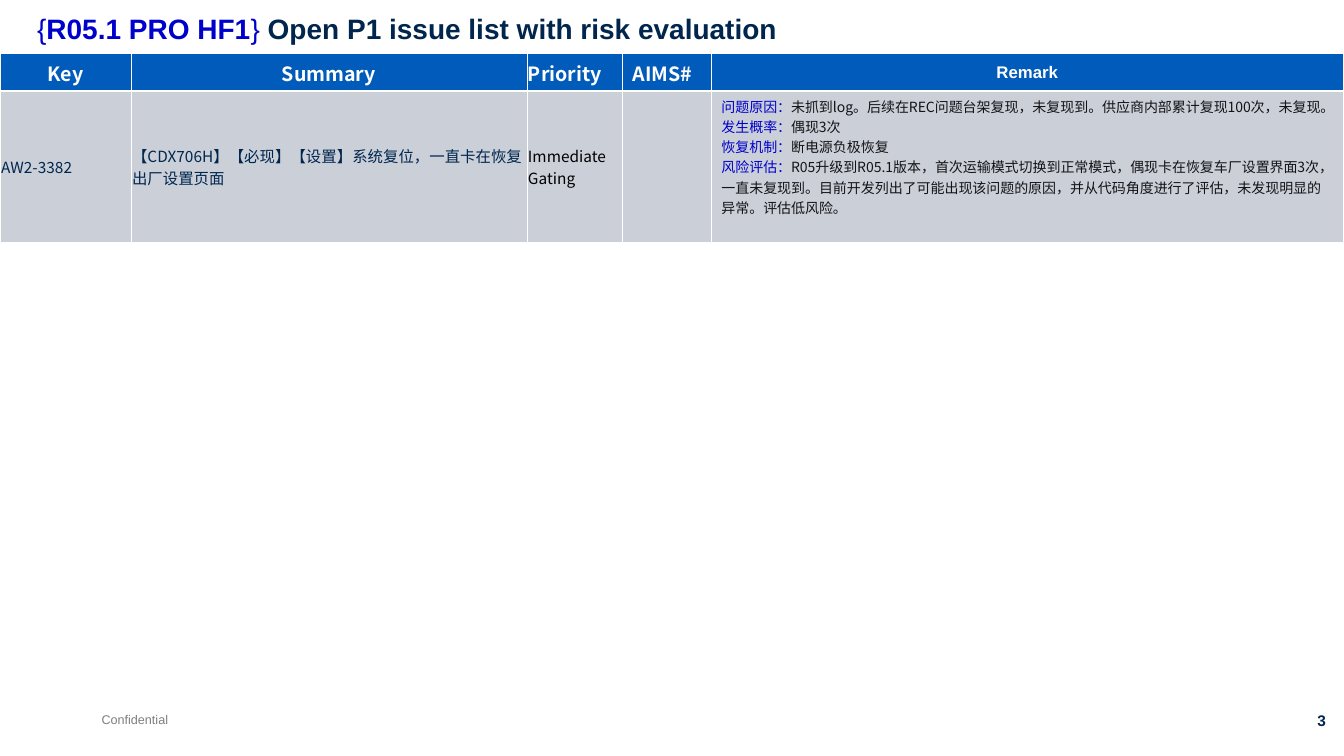
from dataclasses import dataclass
from lxml import etree
from pptx import Presentation
from pptx import util as u
from pptx.dml.color import RGBColor
from pptx.enum import text
from pptx.oxml import ns

NAVY = RGBColor(0x00, 0x26, 0x4E)
BLUE = RGBColor(0x00, 0x00, 0xCC)
HEADER_BLUE = RGBColor(0x00, 0x5B, 0xBA)
ROW_GREY = RGBColor(0xCB, 0xCF, 0xD8)
GREY = RGBColor(0x7F, 0x7F, 0x7F)
INK = RGBColor(0x13, 0x14, 0x16)
BLACK = RGBColor(0x00, 0x00, 0x00)
WHITE = RGBColor(0xFF, 0xFF, 0xFF)
LATIN = "Arial"
CJK = "Noto Sans CJK SC"
LEFT, CENTER, RIGHT = text.PP_ALIGN.LEFT, text.PP_ALIGN.CENTER, text.PP_ALIGN.RIGHT
TOP, MIDDLE = text.MSO_ANCHOR.TOP, text.MSO_ANCHOR.MIDDLE
NARROW, NORMAL = 0.75, 7.2
THIN, THICK = 0.45, 1.47


@dataclass
class Span:
    words: str
    size: float
    color: RGBColor
    bold: bool = False
    name: str = LATIN


@dataclass
class Label:
    left: float
    top: float
    width: float
    height: float
    spans: list[Span]
    align: text.PP_ALIGN = LEFT
    line_spacing: float = 1.0


@dataclass
class Entry:
    paras: list[list[Span]]
    align: text.PP_ALIGN = LEFT
    anchor: text.MSO_ANCHOR = MIDDLE
    margin: float = NARROW


def heading(words: str, align=CENTER, margin=NARROW, size=14, name=CJK) -> Entry:
    return Entry([[Span(words, size, WHITE, True, name)]], align, margin=margin)


def value(words: str, color: RGBColor = NAVY) -> Entry:
    return Entry([[Span(words, 11, color, name=CJK)]])


def remark(topic: str, detail: str) -> list[Span]:
    return [Span(topic, 10, BLUE, name=CJK), Span(detail, 10, INK, name=CJK)]


LABELS = [
    Label(65.5, 504.7, 90, 18, [Span("Confidential", 9, GREY)]),
    Label(887, 504.7, 67.7, 20.9, [Span("3", 11, NAVY, True)], RIGHT),
    Label(19.4, 7.2, 853.2, 45.4, [
        Span("{", 20, BLUE),
        Span("R05.1 PRO HF1", 20, BLUE, True),
        Span("} ", 20, BLUE),
        Span("Open P1 issue list with risk evaluation", 20, NAVY, True),
    ], line_spacing=0.9),
]
COLUMN_WIDTHS = [93.6, 283, 68.4, 63.4, 451.6]
ROW_HEIGHTS = [27, 108]
ROW_FILLS = [HEADER_BLUE, ROW_GREY]
ISSUES = [
    [
        heading("Key"),
        heading("Summary"),
        heading("Priority", LEFT),
        heading("AIMS#", LEFT, NORMAL),
        heading("Remark", margin=NORMAL, size=12, name=LATIN),
    ],
    [
        value("AW2-3382"),
        value("【CDX706H】【必现】【设置】系统复位，一直卡在恢复出厂设置页面"),
        value("Immediate Gating", BLACK),
        Entry([]),
        Entry([
            remark("问题原因：", "未抓到log。后续在REC问题台架复现，未复现到。供应商内部累计复现100次，未复现。"),
            remark("发生概率：", "偶现3次"),
            remark("恢复机制：", "断电源负极恢复"),
            remark("风险评估：", "R05升级到R05.1版本，首次运输模式切换到正常模式，偶现卡在恢复车厂设置界面3次，"
                   "一直未复现到。目前开发列出了可能出现该问题的原因，并从代码角度进行了评估，"
                   "未发现明显的异常。评估低风险。"),
        ], anchor=TOP, margin=NORMAL),
    ],
]


def apply(target, formats: dict) -> None:
    for key, setting in formats.items():
        setattr(target, key, setting)


def write_spans(para, spans: list[Span]) -> None:
    for span in spans:
        run = para.add_run()
        run.text = span.words
        apply(run.font, {"size": u.Pt(span.size), "bold": span.bold, "name": span.name})
        run.font.color.rgb = span.color
        east_asian = etree.Element(ns.qn("a:ea"), typeface=span.name)
        run.font._element.find(ns.qn("a:latin")).addnext(east_asian)


def draw_label(page, label: Label) -> None:
    bounds = (label.left, label.top, label.width, label.height)
    frame = page.shapes.add_textbox(*map(u.Pt, bounds)).text_frame
    frame.word_wrap = True
    para = frame.paragraphs[0]
    apply(para, {"alignment": label.align, "line_spacing": label.line_spacing})
    write_spans(para, label.spans)


def add_borders(cell, top: float, bottom: float) -> None:
    properties = cell._tc.get_or_add_tcPr()
    widths = {"a:lnL": THIN, "a:lnR": THIN, "a:lnT": top, "a:lnB": bottom}
    for index, (tag, width) in enumerate(widths.items()):
        line = etree.Element(ns.qn(tag), w=str(int(u.Pt(width))))
        fill = etree.SubElement(line, ns.qn("a:solidFill"))
        etree.SubElement(fill, ns.qn("a:srgbClr"), val=str(WHITE))
        properties.insert(index, line)


def fill_cell(cell, entry: Entry) -> None:
    apply(cell, {
        "vertical_anchor": entry.anchor,
        "margin_left": u.Pt(entry.margin),
        "margin_right": u.Pt(entry.margin),
        "margin_top": u.Pt(3.6),
        "margin_bottom": u.Pt(3.6),
    })
    frame = cell.text_frame
    for index, spans in enumerate(entry.paras):
        para = frame.add_paragraph() if index else frame.paragraphs[0]
        para.alignment = entry.align
        write_spans(para, spans)


def draw_issue_table(page) -> None:
    table = page.shapes.add_table(
        len(ISSUES), len(COLUMN_WIDTHS), u.Pt(0), u.Pt(38.2),
        u.Pt(sum(COLUMN_WIDTHS)), u.Pt(sum(ROW_HEIGHTS))).table
    table.horz_banding = False
    for column, width in zip(table.columns, COLUMN_WIDTHS):
        column.width = u.Pt(width)
    for row_index, (row, height) in enumerate(zip(table.rows, ROW_HEIGHTS)):
        row.height = u.Pt(height)
        top, bottom = (THICK, THIN) if row_index else (THIN, THICK)
        for cell, entry in zip(row.cells, ISSUES[row_index]):
            cell.fill.solid()
            cell.fill.fore_color.rgb = ROW_FILLS[row_index]
            add_borders(cell, top, bottom)
            fill_cell(cell, entry)


def main() -> None:
    deck = Presentation()
    apply(deck, {"slide_width": u.Pt(960.5), "slide_height": u.Pt(540)})
    page = deck.slides.add_slide(deck.slide_layouts[6])
    for label in LABELS:
        draw_label(page, label)
    draw_issue_table(page)
    deck.save("out.pptx")


if __name__ == "__main__":
    main()
